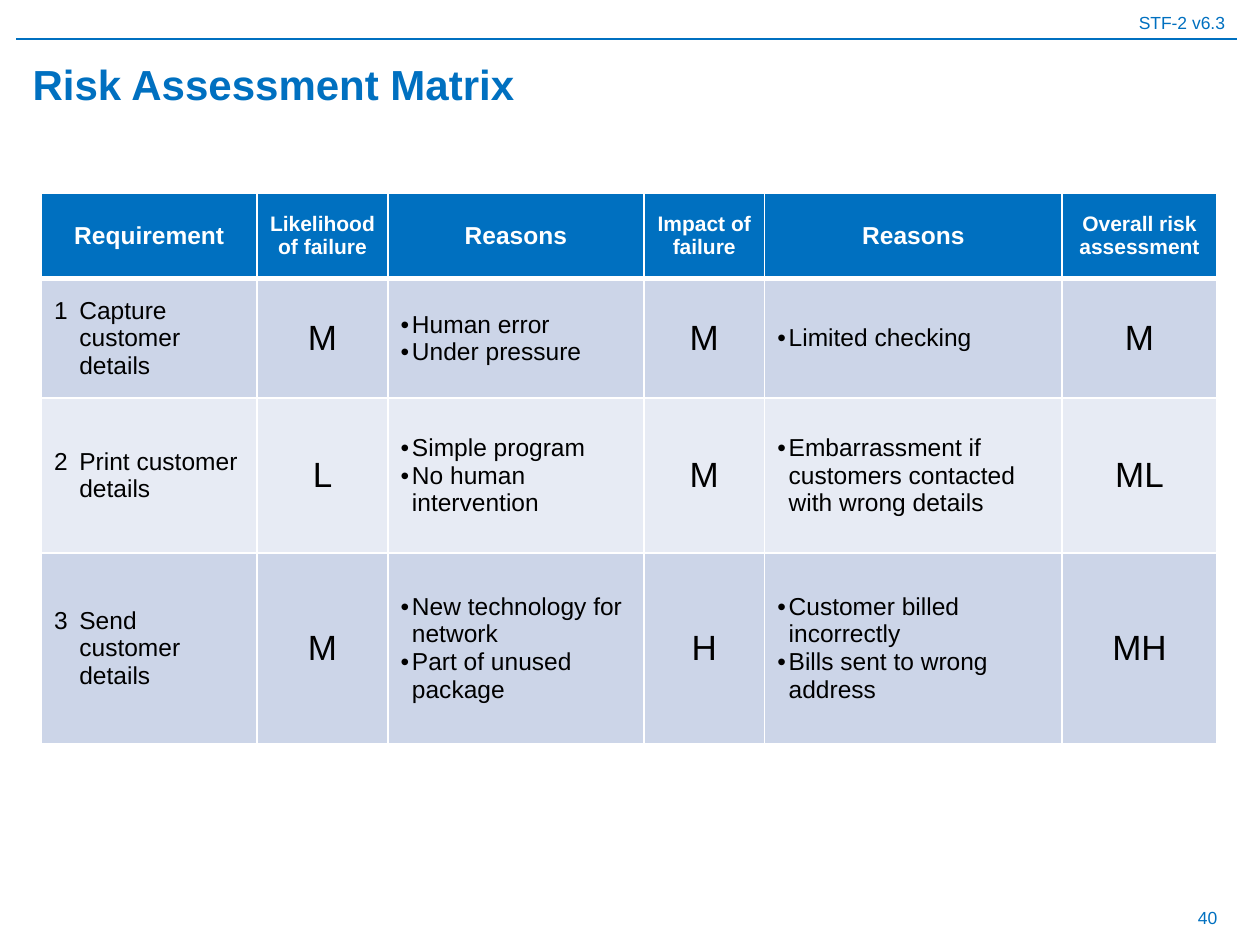
from lxml.etree import SubElement
from pptx import Presentation
from pptx.dml.color import RGBColor
from pptx.enum.shapes import MSO_CONNECTOR
from pptx.enum.text import MSO_ANCHOR, PP_ALIGN
from pptx.oxml.ns import qn
from pptx.util import Inches, Pt

BLUE, WHITE, BLACK = "0070C0", "FFFFFF", "000000"
BANDS = ("CCD5E8", "E7EBF4")
COLUMN_WIDTHS = (1.71, 1.04, 2.03, 0.96, 2.36, 1.23)
ROW_HEIGHTS = (0.68, 0.95, 1.23, 1.51)

# Heading text and size
HEADINGS = (
    ("Requirement", 14), ("Likelihood of failure", 12), ("Reasons", 14),
    ("Impact of failure", 12), ("Reasons", 14), ("Overall risk assessment", 12),
)
# Requirement, likelihood, reasons, impact, reasons, overall risk
RISKS = (
    ("Capture customer details", "M", ["Human error", "Under pressure"],
     "M", ["Limited checking"], "M"),
    ("Print customer details", "L", ["Simple program", "No human intervention"],
     "M", ["Embarrassment if customers contacted with wrong details"], "ML"),
    ("Send customer details", "M",
     ["New technology for network", "Part of unused package"],
     "H", ["Customer billed incorrectly", "Bills sent to wrong address"], "MH"),
)


def color(value):
    return RGBColor.from_string(value)


def write(frame, lines, size=14, ink=BLACK, bold=False, align=PP_ALIGN.LEFT,
          hanging=0, bullet=None):
    """Write one paragraph per line into a text frame."""
    frame.word_wrap = True
    for index, line in enumerate(lines):
        para = frame.paragraphs[0] if index == 0 else frame.add_paragraph()
        para.alignment = align
        span = para.add_run()
        span.text = line
        span.font.name = "Arial"
        span.font.size = Pt(size)
        span.font.bold = bold
        span.font.color.rgb = color(ink)
        properties = para._p.get_or_add_pPr()
        if hanging:
            properties.set("marL", str(Inches(hanging)))
            properties.set("indent", str(-Inches(hanging)))
        if bullet:
            SubElement(properties, qn("a:buFont"), typeface="Arial")
            SubElement(properties, qn("a:buChar"), char=bullet)


def add_text(page, box, text, **text_format):
    frame = page.shapes.add_textbox(*map(Inches, box)).text_frame
    frame.vertical_anchor = MSO_ANCHOR.MIDDLE
    write(frame, [text], **text_format)


def add_header(page, left, top, width, height):
    """Course version above a thin rule."""
    add_text(page, (left, top, width - 0.18, height), "STF-2 v6.3",
             size=10, ink=BLUE, align=PP_ALIGN.RIGHT)
    bottom = Inches(top + height)
    rule = page.shapes.add_connector(
        MSO_CONNECTOR.STRAIGHT, Inches(left + 0.13), bottom,
        Inches(left + width - 0.18), bottom)
    rule.line.color.rgb = color(BLUE)
    rule.line.width = Pt(0.75)
    SubElement(rule._element.spPr, qn("a:effectLst"))


def style_cell(cell, fill, top=1, bottom=1):
    """White borders, then the fill."""
    cell.vertical_anchor = MSO_ANCHOR.MIDDLE
    properties = cell._tc.get_or_add_tcPr()
    for side, width in (("L", 1), ("R", 1), ("T", top), ("B", bottom)):
        border = SubElement(properties, qn(f"a:ln{side}"), w=str(Pt(width)))
        SubElement(SubElement(border, qn("a:solidFill")), qn("a:srgbClr"), val=WHITE)
    cell.fill.solid()
    cell.fill.fore_color.rgb = color(fill)


def add_risk_table(page, left, top, width, height):
    table = page.shapes.add_table(
        len(ROW_HEIGHTS), len(COLUMN_WIDTHS),
        *map(Inches, (left, top, width, height))).table
    table.first_row = table.horz_banding = False
    for column, size in zip(table.columns, COLUMN_WIDTHS):
        column.width = Inches(size)
    for row, size in zip(table.rows, ROW_HEIGHTS):
        row.height = Inches(size)

    # Heading row
    for column, (heading, size) in enumerate(HEADINGS):
        cell = table.cell(0, column)
        style_cell(cell, BLUE, bottom=3)
        write(cell.text_frame, [heading], size=size, ink=WHITE, bold=True,
              align=PP_ALIGN.CENTER)

    # Numbered requirements, bulleted reasons and centred ratings
    for number, risk in enumerate(RISKS, 1):
        for column, content in enumerate(risk):
            cell = table.cell(number, column)
            style_cell(cell, BANDS[(number - 1) % 2], top=3 if number == 1 else 1)
            if column == 0:
                write(cell.text_frame, [f"{number}\t{content}"], hanging=0.2)
            elif isinstance(content, list):
                write(cell.text_frame, content, hanging=0.09, bullet="•")
            else:
                write(cell.text_frame, [content], size=20, align=PP_ALIGN.CENTER)


def main():
    deck = Presentation()
    deck.slide_width, deck.slide_height = Inches(10), Inches(7.5)
    page = deck.slides.add_slide(deck.slide_layouts[6])
    add_header(page, 0, 0.04, 10, 0.27)
    add_text(page, (0.16, 0.39, 9.61, 0.55), "Risk Assessment Matrix",
             size=24, ink=BLUE, bold=True)
    add_risk_table(page, 0.33, 1.53, 9.33, 4.37)
    add_text(page, (7.43, 7.09, 2.33, 0.39), "40", size=10, ink=BLUE,
             align=PP_ALIGN.RIGHT)
    deck.save("out.pptx")


if __name__ == "__main__":
    main()
